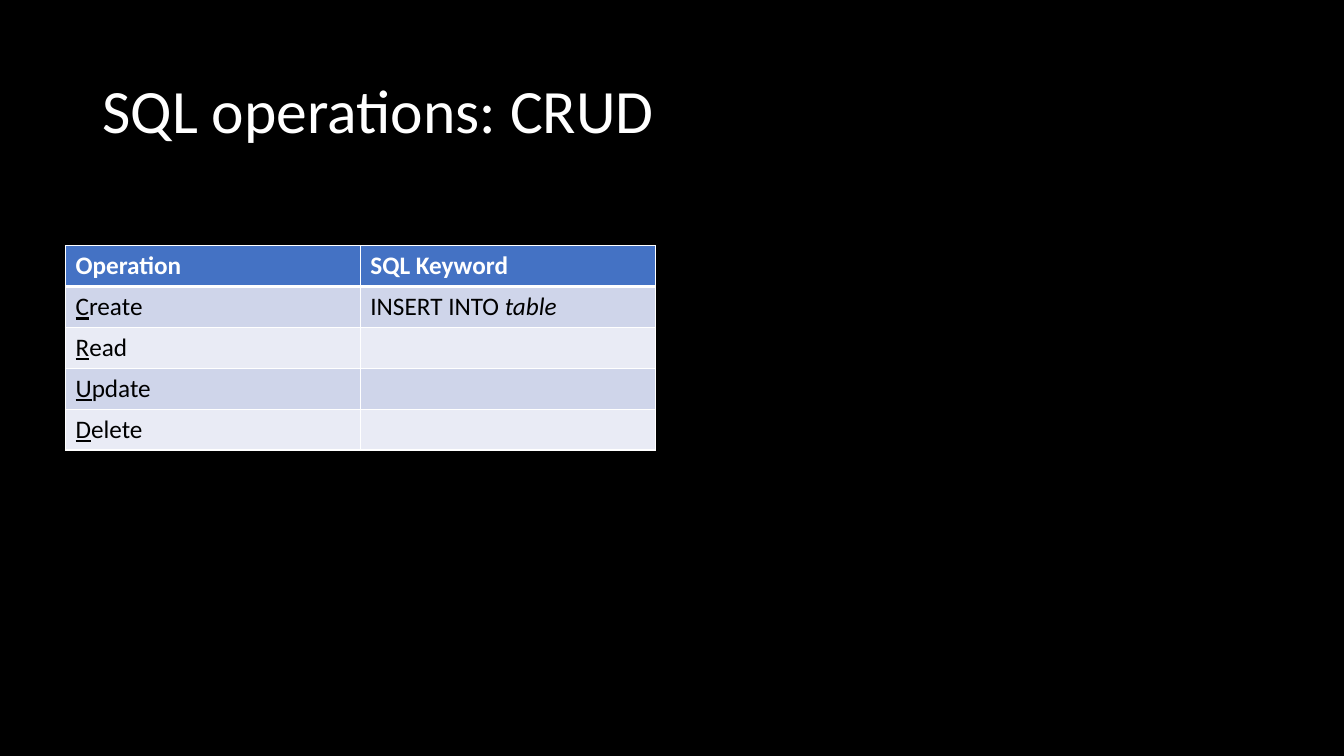
"""Build the slide on SQL CRUD operations with its keyword table."""
from lxml import etree
from pptx import Presentation
from pptx.dml.color import RGBColor
from pptx.enum import text
from pptx.oxml.ns import qn
from pptx.util import Pt

TITLE = "SQL operations: CRUD"
HEADER = ("Operation", "SQL Keyword")
OPERATIONS = [("Create", "INSERT INTO ", "table"), ("Read", "", ""),
              ("Update", "", ""), ("Delete", "", "")]
FONT = "Calibri"
BLACK = RGBColor(0x00, 0x00, 0x00)
WHITE = RGBColor(0xFF, 0xFF, 0xFF)
BLUE = RGBColor(0x44, 0x72, 0xC4)
BANDS = (RGBColor(0xCF, 0xD5, 0xEA), RGBColor(0xE9, 0xEB, 0xF5))
LEFT, TOP, COL_W, ROW_H = 46.8, 175.5, 210.6, 29.2


def add_run(p, words, size, color, **style):
    r = p.add_run()
    r.text = words
    r.font.name, r.font.size = FONT, Pt(size)
    r.font.color.rgb = color
    for name, value in style.items():
        setattr(r.font, name, value)


def set_borders(cell, row):
    widths = {"L": 1, "R": 1, "T": 3 if row == 1 else 1, "B": 3 if row == 0 else 1}
    tc_pr = cell._tc.get_or_add_tcPr()
    for i, (side, width) in enumerate(widths.items()):
        ln = etree.Element(qn(f"a:ln{side}"), w=str(Pt(width)))
        fill = etree.SubElement(ln, qn("a:solidFill"))
        etree.SubElement(fill, qn("a:srgbClr"), val=str(WHITE))
        tc_pr.insert(i, ln)


prs = Presentation()
prs.slide_width, prs.slide_height = Pt(960), Pt(540)
s = prs.slides.add_slide(prs.slide_layouts[5])
s.background.fill.solid()
s.background.fill.fore_color.rgb = BLACK

title = s.shapes.title
title.left, title.top, title.width, title.height = Pt(66), Pt(28.75), Pt(828), Pt(104.4)
tf = title.text_frame
tf.vertical_anchor = text.MSO_ANCHOR.MIDDLE
tf.auto_size = text.MSO_AUTO_SIZE.NONE
p = tf.paragraphs[0]
p.alignment, p.line_spacing = text.PP_ALIGN.LEFT, 0.9
add_run(p, TITLE, 44, WHITE)

n_rows, n_cols = len(OPERATIONS) + 1, len(HEADER)
table = s.shapes.add_table(n_rows, n_cols, Pt(LEFT), Pt(TOP),
                           Pt(COL_W * n_cols), Pt(ROW_H * n_rows)).table
for i, row in enumerate(table.rows):
    row.height = Pt(ROW_H)
    for cell in row.cells:
        cell.fill.solid()
        cell.fill.fore_color.rgb = BANDS[(i - 1) % 2] if i else BLUE
        set_borders(cell, i)

for j, label in enumerate(HEADER):
    add_run(table.cell(0, j).text_frame.paragraphs[0], label, 18, WHITE, bold=True)
for i, (operation, keyword, argument) in enumerate(OPERATIONS, 1):
    p = table.cell(i, 0).text_frame.paragraphs[0]
    add_run(p, operation[0], 18, BLACK, underline=True)
    add_run(p, operation[1:], 18, BLACK)
    if keyword:
        p = table.cell(i, 1).text_frame.paragraphs[0]
        add_run(p, keyword, 18, BLACK)
        add_run(p, argument, 18, BLACK, italic=True)

prs.save("out.pptx")
